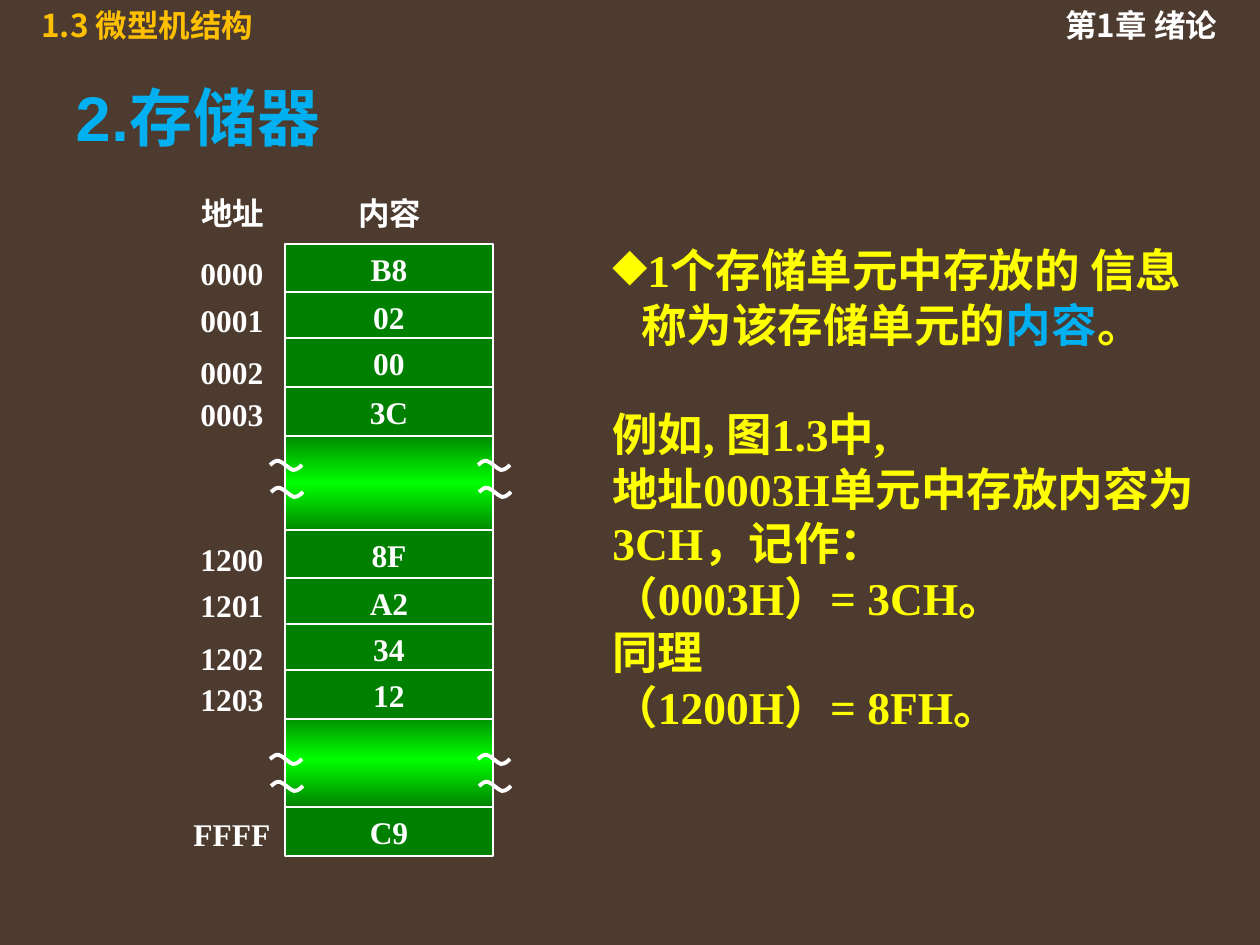
from copy import deepcopy

from lxml import etree
from pptx import Presentation
from pptx.dml.color import RGBColor
from pptx.enum.shapes import MSO_CONNECTOR, MSO_SHAPE
from pptx.enum.text import MSO_ANCHOR, PP_ALIGN
from pptx.oxml.ns import qn
from pptx.util import Emu, Pt

LINE, RECT = MSO_CONNECTOR.STRAIGHT, MSO_SHAPE.RECTANGLE
MID = MSO_ANCHOR.MIDDLE
LEFT, CENTER = PP_ALIGN.LEFT, PP_ALIGN.CENTER
UNIT = 914400 / 126

THEME = {
    "back": "4E3B30", "white": "FFFFFF", "gold": "FFC000", "blue": "00B0F0",
    "yellow": "FFFF00", "green": "008000", "lime": "00FF00",
    "cjk": "Noto Sans CJK SC", "serif": "Times New Roman", "sans": "Arial",
    "title": 36, "body": 26, "label": 18, "thin": 0.75, "wave": 2.25,
}

TITLE = "2.存储器"
# left, top, width, text, colour
HEADS = [(29, 0, 295, "1.3 微型机结构", "gold"),
         (1053, 0, 207, "第1章 绪论", "white")]
NAMES = [(180, 188, 105, "地址"), (337, 188, 105, "内容")]
# address, its top, content, its top
CELLS = [
    ("0000", 248, "B8", 244), ("0001", 295, "02", 292),
    ("0002", 347, "00", 338), ("0003", 389, "3C", 387),
    ("1200", 534, "8F", 530), ("1201", 580, "A2", 578),
    ("1202", 633, "34", 624), ("1203", 674, "12", 670),
    ("FFFF", 809, "C9", 807),
]
CELL_X, CELL_W, CELL_H = 285, 208, 49
# top and height of the gap, top of its waves
GAPS = [(712, 95, 754), (432, 102, 460)]
# start of the wave, then three points for each curve
WAVE = [(0, 5), (3, 3), (5, 0), (9, 1), (13, 2), (19, 9), (23, 10),
        (27, 10), (30, 7), (32, 5)]
LEAD = [("1个存储单元中存放的 信息称为该存储单元的", "yellow"),
        ("内容", "blue"), ("。", "yellow")]
REST = ["例如, 图1.3中,", "地址0003H单元中存放内容为3CH，记作：",
        "（0003H）= 3CH。", "同理", "（1200H）= 8FH。"]


def px(n):
    return Emu(round(n * UNIT))


def tint(name):
    return RGBColor.from_string(THEME[name])


def add_run(par, text, size, face, color):
    run = par.add_run()
    run.text = text
    font = run.font
    font.size, font.bold = Pt(THEME[size]), True
    font.name, font.color.rgb = THEME[face], tint(color)
    east = etree.SubElement(font._element, qn("a:ea"))
    east.set("typeface", THEME["cjk"])
    return run


def add_box(slide, x, y, w, h):
    frame = slide.shapes.add_textbox(px(x), px(y), px(w), px(h)).text_frame
    frame.word_wrap = True
    return frame


def add_label(slide, x, y, w, text, face, color="white", align=CENTER):
    par = add_box(slide, x, y, w, 50).paragraphs[0]
    par.alignment, par.line_spacing = align, Pt(THEME["label"] * 1.2)
    add_run(par, text, "label", face, color)


def add_rect(slide, y, h):
    rect = slide.shapes.add_shape(RECT, px(CELL_X), px(y), px(CELL_W), px(h))
    rect.shadow.inherit = False
    rect.line.color.rgb, rect.line.width = tint("white"), Pt(THEME["thin"])
    return rect


def add_gap(slide, y, h):
    """Draw the band that stands for the cells left out."""
    fill = add_rect(slide, y, h).fill
    fill.gradient()
    fill.gradient_angle = 90
    first = fill.gradient_stops[0]._gs
    first.addnext(deepcopy(first))
    for stop, (pos, name) in zip(fill.gradient_stops, [
            (0, "green"), (0.5, "lime"), (1, "green")]):
        stop.position, stop.color.rgb = pos, tint(name)


def add_cell(slide, y, text):
    rect = add_rect(slide, y, CELL_H)
    rect.fill.solid()
    rect.fill.fore_color.rgb = tint("green")
    frame = rect.text_frame
    frame.word_wrap, frame.vertical_anchor = False, MID
    frame.paragraphs[0].alignment = CENTER
    add_run(frame.paragraphs[0], text, "label", "serif", "white")


def bend(shape):
    """Turn each three straight segments into one cubic curve."""
    legs = list(shape._element.iter(qn("a:lnTo")))
    for i in range(0, len(legs), 3):
        curve = etree.Element(qn("a:cubicBezTo"))
        legs[i].addprevious(curve)
        for leg in legs[i:i + 3]:
            curve.append(leg[0])
            leg.getparent().remove(leg)


def add_wave(slide, x, y):
    points = [(x + dx, y + dy) for dx, dy in WAVE]
    pen = slide.shapes.build_freeform(*points[0], scale=UNIT)
    pen.add_line_segments(points[1:], close=False)
    wave = pen.convert_to_shape()
    bend(wave)
    wave.shadow.inherit = False
    wave.fill.background()
    wave.line.color.rgb, wave.line.width = tint("white"), Pt(THEME["wave"])


def add_edge(slide, x, top, end):
    edge = slide.shapes.add_connector(LINE, px(x), px(top), px(x), px(end))
    edge.line.color.rgb, edge.line.width = tint("white"), Pt(THEME["thin"])
    etree.SubElement(edge._element.spPr, qn("a:effectLst"))


def add_body(slide):
    frame = add_box(slide, 600, 236, 630, 564)
    lead, rest = frame.paragraphs[0], frame.add_paragraph()
    props = lead._p.get_or_add_pPr()
    props.set("marL", str(px(29)))
    props.set("indent", str(-px(29)))
    etree.SubElement(props, qn("a:buChar")).set("char", "◆")
    for text, color in LEAD:
        add_run(lead, text, "body", "serif", color)
    for i, text in enumerate(REST):
        if i:
            rest.add_line_break()
        add_run(rest, text, "body", "serif", "yellow")
    pitch = Pt(THEME["body"] * 1.2)
    lead.line_spacing = rest.line_spacing = rest.space_before = pitch


def main():
    deck = Presentation()
    deck.slide_width, deck.slide_height = px(1260), px(945)
    slide = deck.slides.add_slide(deck.slide_layouts[5])
    slide.background.fill.solid()
    slide.background.fill.fore_color.rgb = tint("back")

    for x, y, w, text, color in HEADS:
        add_label(slide, x, y, w, text, "cjk", color, LEFT)
    add_body(slide)

    title = slide.shapes.title
    title.left, title.top, title.width, title.height = map(px, (63, 38, 1071, 157))
    title.text_frame.vertical_anchor = MID
    par = title.text_frame.paragraphs[0]
    par.alignment = LEFT
    run = add_run(par, TITLE, "title", "sans", "blue")
    run.font._element.set("spc", "50")

    for y, h, _ in GAPS:
        add_gap(slide, y, h)
    for _, _, text, y in CELLS:
        add_cell(slide, y, text)
    for _, _, y in GAPS:
        for x in (CELL_X, CELL_X + CELL_W):
            add_wave(slide, x - 15, y)
            add_wave(slide, x - 14, y + 27)
            add_edge(slide, x, y - 32, y)
            add_edge(slide, x, y + 74, y + 31)
    for x, y, w, text in NAMES:
        add_label(slide, x, y, w, text, "sans")
    for addr, y, _, _ in CELLS:
        add_label(slide, 174, y, 116, addr, "serif")
    deck.save("out.pptx")


if __name__ == "__main__":
    main()
